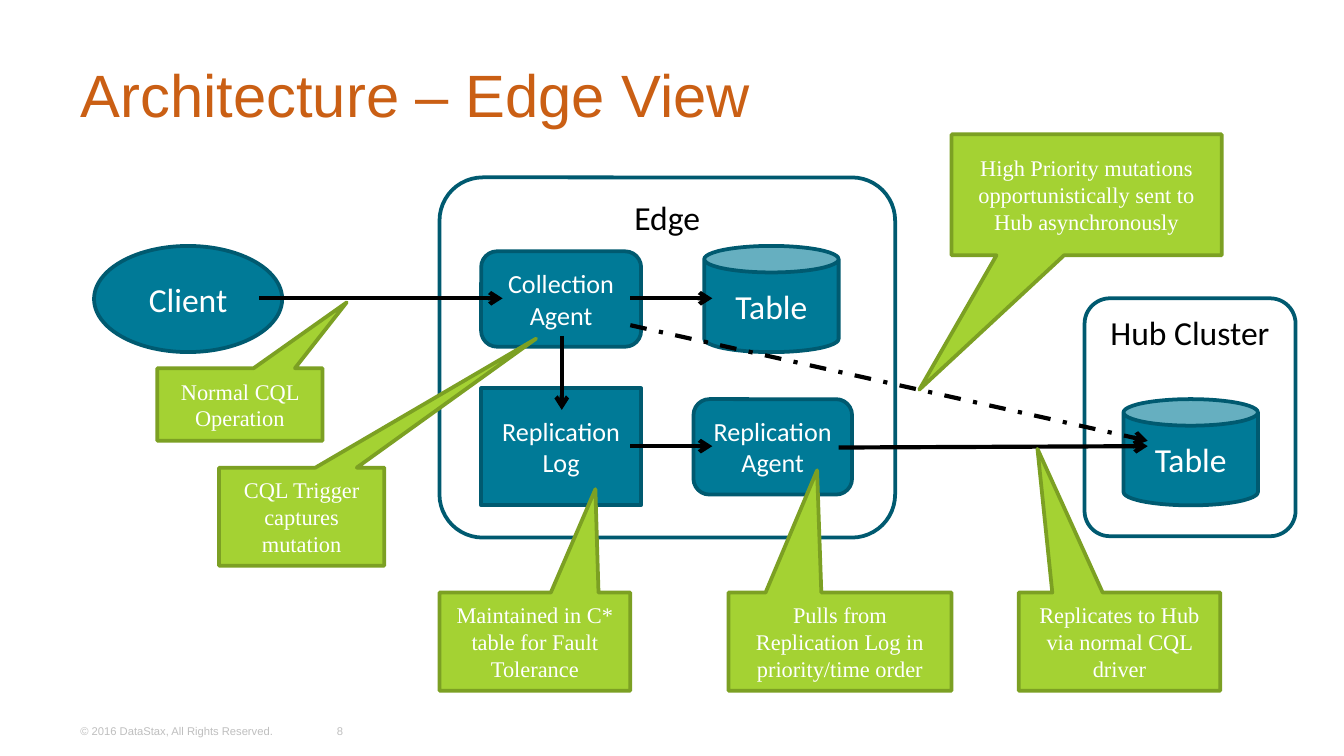
from lxml import etree
from pptx import Presentation
from pptx import util as u
from pptx.dml.color import RGBColor
from pptx.enum import dml, shapes, text
from pptx.oxml.ns import qn

PX = 9144
WIDE = 1000 * PX
HEX = {"title": "CA5F14", "node": "007A97", "edge": "005A70", "note": "A4D233",
       "rim": "7CA023", "white": "FFFFFF", "black": "000000", "grey": "BFBFBF"}
KIND = shapes.MSO_SHAPE
MID, TOP = text.MSO_ANCHOR.MIDDLE, text.MSO_ANCHOR.TOP
LEFT, MIDST = text.PP_ALIGN.LEFT, text.PP_ALIGN.CENTER


def px(*nums):
    """Turn px lengths into EMU."""
    return [u.Emu(n * PX) for n in nums]


def rgb(name):
    """Look up a colour by name."""
    return RGBColor.from_string(HEX[name])


def write(shape, words, size, font, color, align=MIDST, anchor=MID):
    """Fill a shape with evenly styled text."""
    frame = shape.text_frame
    frame.text = words
    frame.word_wrap = True
    frame.auto_size = text.MSO_AUTO_SIZE.NONE
    frame.vertical_anchor = anchor
    for para in frame.paragraphs:
        para.alignment = align
        para.font.size = u.Pt(size)
        para.font.name = font
        para.font.color.rgb = rgb(color)


def block(slide, kind, box, fill, line, adjust=()):
    """Draw an outlined preset shape."""
    shape = slide.shapes.add_shape(kind, *px(*box))
    shape.shadow.inherit = False
    if fill:
        shape.fill.solid()
        shape.fill.fore_color.rgb = rgb(fill)
    else:
        shape.fill.background()
    shape.line.color.rgb = rgb(line)
    shape.line.width = u.Pt(2)
    for i, value in enumerate(adjust):
        shape.adjustments[i] = value
    return shape


def group(slide, words, box):
    """Draw a hollow frame with its name at the top."""
    shape = block(slide, KIND.ROUNDED_RECTANGLE, box, None, "edge", [0.12])
    write(shape, words, 18, "Calibri", "black", anchor=TOP)


def node(slide, kind, words, size, box):
    """Draw a filled part of the system."""
    shape = block(slide, kind, box, "node", "edge")
    write(shape, words, size, "Calibri", "white")


def arrow(slide, ends, dash=None):
    """Draw an arrow between two points."""
    line = slide.shapes.add_connector(shapes.MSO_CONNECTOR.STRAIGHT, *px(*ends))
    line.line.color.rgb = rgb("black")
    line.line.width = u.Pt(2.25)
    if dash:
        line.line.dash_style = dash
    props = line._element.spPr
    tail = etree.SubElement(props.find(qn("a:ln")), qn("a:tailEnd"))
    tail.set("type", "arrow")
    etree.SubElement(props, qn("a:effectLst"))


def note(slide, words, box, tip):
    """Draw a callout whose wedge ends at the tip."""
    x, y, w, h = box
    aim = [(tip[0] - x) / w - 0.5, (tip[1] - y) / h - 0.5]
    shape = block(slide, KIND.RECTANGULAR_CALLOUT, box, "note", "rim", aim)
    write(shape, words, 12, "Times New Roman", "white")


def small(slide, words, box, align):
    """Add a line of footer text."""
    shape = slide.shapes.add_textbox(*px(*box))
    write(shape, words, 6, "Arial", "grey", align)


def main():
    """Build the slide and save it."""
    deck = Presentation()
    deck.slide_width, deck.slide_height = u.Emu(WIDE), u.Emu(WIDE * 9 // 16)
    slide = deck.slides.add_slide(deck.slide_layouts[5])
    title = slide.shapes.title
    title.left, title.top, title.width, title.height = px(50, 23, 900, 94)
    write(title, "Architecture – Edge View", 32, "Arial", "title", LEFT)

    group(slide, "Edge", (327, 132, 339, 268))
    group(slide, "Hub Cluster", (807, 222, 157, 177))

    for kind, words, size, box in [
        (KIND.OVAL, "Client", 18, (70, 183, 140, 79)),
        (KIND.RECTANGLE, "Replication\nLog", 14, (358, 289, 119, 87)),
        (KIND.ROUNDED_RECTANGLE, "Collection\nAgent", 14, (358, 187, 119, 71)),
        (KIND.ROUNDED_RECTANGLE, "Replication\nAgent", 14, (516, 297, 118, 71)),
        (KIND.CAN, "Table", 18, (524, 183, 100, 79)),
        (KIND.CAN, "Table", 18, (836, 297, 100, 79)),
    ]:
        node(slide, kind, words, size, box)

    for ends in [(193, 222, 374, 222), (418, 250, 418, 305),
                 (469, 222, 530, 222), (469, 332, 530, 332),
                 (624, 333, 854, 332)]:
        arrow(slide, ends)
    arrow(slide, (469, 242, 854, 328), dml.MSO_LINE.DASH_DOT)

    for words, box, tip in [
        ("Normal CQL Operation", (117, 274, 123, 54), (258, 225)),
        ("CQL Trigger captures mutation", (163, 348, 123, 73), (399, 252)),
        ("Maintained in C* table for Fault Tolerance",
         (327, 441, 142, 73), (443, 364)),
        ("Pulls from Replication Log in priority/time order",
         (542, 441, 166, 73), (608, 350)),
        ("Replicates to Hub via normal CQL driver",
         (758, 441, 150, 73), (772, 334)),
        ("High Priority mutations opportunistically sent to Hub asynchronously",
         (708, 100, 201, 90), (684, 290)),
    ]:
        note(slide, words, box, tip)

    small(slide, "© 2016 DataStax, All Rights Reserved.", (50, 529, 174, 30), LEFT)
    small(slide, "8", (231, 529, 44, 30), MIDST)
    deck.save("out.pptx")


if __name__ == "__main__":
    main()
